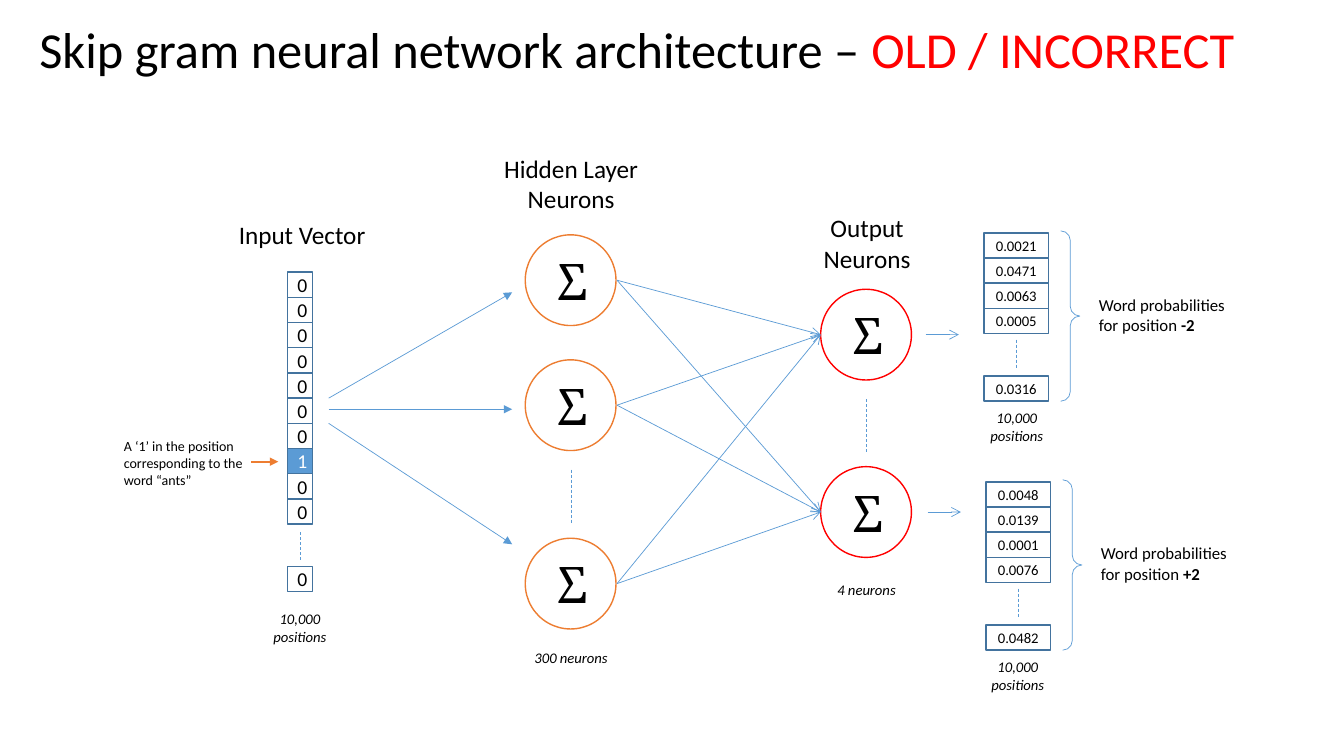
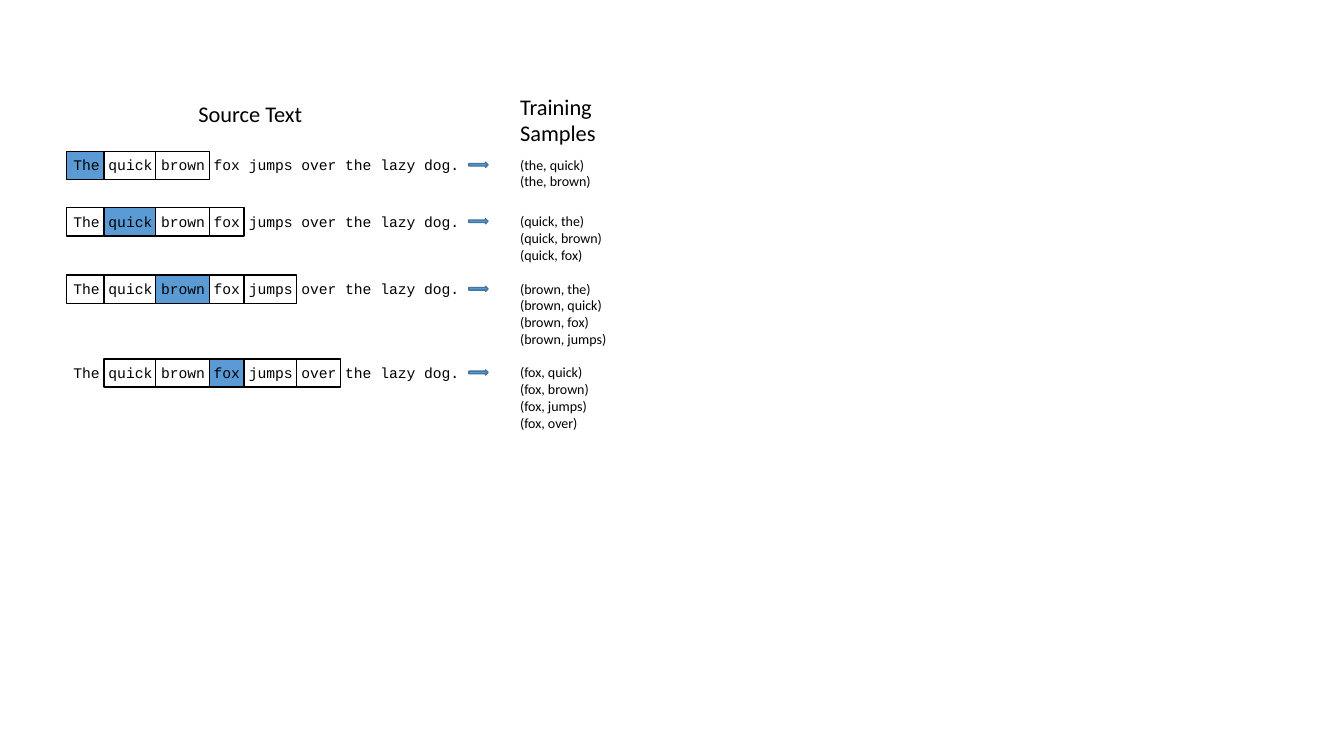
from lxml.etree import SubElement
from pptx import Presentation
from pptx.dml.color import RGBColor
from pptx.enum.dml import MSO_LINE
from pptx.enum.shapes import MSO_CONNECTOR, MSO_SHAPE
from pptx.enum.text import MSO_ANCHOR, MSO_AUTO_SIZE, PP_ALIGN
from pptx.oxml.ns import qn
from pptx.util import Inches, Pt

BLACK = RGBColor(0x00, 0x00, 0x00)
WHITE = RGBColor(0xFF, 0xFF, 0xFF)
BLUE = RGBColor(0x5B, 0x9B, 0xD5)
DARK_BLUE = RGBColor(0x43, 0x73, 0x9E)
ORANGE = RGBColor(0xED, 0x7D, 0x31)
RED = RGBColor(0xFF, 0x00, 0x00)
CENTER = PP_ALIGN.CENTER


def add_item(slide, place, kind=None, line=None, fill=None, line_width=1, text="", size=10.5,
             font="Calibri", color=BLACK, align=PP_ALIGN.LEFT, italic=False, wrap=True):
    box = [Inches(length) for length in place]
    if kind is None:
        shape = slide.shapes.add_textbox(*box)
        shape.text_frame.auto_size = MSO_AUTO_SIZE.SHAPE_TO_FIT_TEXT
    else:
        shape = slide.shapes.add_shape(kind, *box)
        shape.shadow.inherit = False
        shape.line.color.rgb = line
        shape.line.width = Pt(line_width)
        if fill is None:
            shape.fill.background()
        else:
            shape.fill.solid()
            shape.fill.fore_color.rgb = fill
    shape.text_frame.word_wrap = wrap
    shape.text_frame.text = text
    for paragraph in shape.text_frame.paragraphs:
        paragraph.alignment = align
        paragraph.font.name = font
        paragraph.font.size = Pt(size)
        paragraph.font.color.rgb = color
        paragraph.font.italic = italic
    return shape


def add_line(slide, start, end, arrowhead=None, color=BLUE, width=0.5):
    points = [Inches(length) for length in (*start, *end)]
    connector = slide.shapes.add_connector(MSO_CONNECTOR.STRAIGHT, *points)
    connector.line.color.rgb = color
    connector.line.width = Pt(width)
    if arrowhead:
        SubElement(connector.line._get_or_add_ln(), qn("a:tailEnd"), type=arrowhead)
    else:
        connector.line.dash_style = MSO_LINE.DASH
    SubElement(connector._element.spPr, qn("a:effectLst"))


presentation = Presentation()
presentation.slide_width = Inches(13.33)
presentation.slide_height = Inches(7.5)

network = presentation.slides.add_slide(presentation.slide_layouts[5])
title = network.shapes.title
title.left, title.top, title.width, title.height = (
    Inches(length) for length in (0.29, 0.13, 12.16, 0.71))
title.text_frame.word_wrap = False
title.text_frame.auto_size = MSO_AUTO_SIZE.NONE
title.text_frame.vertical_anchor = MSO_ANCHOR.TOP
paragraph = title.text_frame.paragraphs[0]
paragraph.alignment = PP_ALIGN.LEFT
paragraph.font.name = "Calibri"
paragraph.font.size = Pt(36)
paragraph.font.color.rgb = BLACK
paragraph.add_run().text = "Skip gram neural network architecture – "
warning = paragraph.add_run()
warning.text = "OLD / INCORRECT"
warning.font.color.rgb = RED

for place, heading, align in [
    ((2.27, 2.13, 1.67, 0.4), "Input Vector", PP_ALIGN.LEFT),
    ((4.83, 1.47, 1.67, 0.71), "Hidden Layer Neurons", CENTER),
    ((7.91, 2.06, 1.38, 0.71), "Output Neurons", CENTER),
]:
    add_item(network, place, text=heading, size=18, align=align)

input_tops = [2.7 + 0.25 * index for index in range(10)] + [5.62]
for index, top in enumerate(input_tops):
    active = index == 7
    add_item(network, (2.85, top, 0.25, 0.25), MSO_SHAPE.RECTANGLE, DARK_BLUE,
             BLUE if active else None, text="1" if active else "0", size=14,
             color=WHITE if active else BLACK, align=CENTER)
add_line(network, (2.98, 5.28), (2.98, 5.57))
add_item(network, (1.13, 4.29, 1.48, 0.61), size=10,
         text="A ‘1’ in the position corresponding to the word “ants”")
add_line(network, (2.49, 4.58), (2.76, 4.58), "triangle", ORANGE, 1.5)

hidden_tops = [2.33, 3.57, 5.34]
output_tops = [2.87, 4.63]
for left, tops, color in [(5.21, hidden_tops, ORANGE), (8.14, output_tops, RED)]:
    for top in tops:
        add_item(network, (left, top, 0.9, 0.9), MSO_SHAPE.OVAL, color)
        add_item(network, (left + 0.22, top + 0.1, 0.48, 0.71), text="Σ", size=36,
                 font="Cambria", wrap=False)
add_line(network, (5.67, 4.66), (5.67, 5.19))
add_line(network, (8.59, 3.96), (8.59, 4.49))

for start, end in [(3.95, 2.9), (4.06, 4.06), (4.2, 5.4)]:
    add_line(network, (3.26, start), (5.08, end), "triangle")
for hidden_top in hidden_tops:
    for output_top in output_tops:
        add_line(network, (6.12, hidden_top + 0.45), (8.14, output_top + 0.45), "arrow")

for left, top, neuron_top, position, values in [
    (9.76, 2.31, output_tops[0], "-2", ["0.0021", "0.0471", "0.0063", "0.0005", "0.0316"]),
    (9.78, 4.78, output_tops[1], "+2", ["0.0048", "0.0139", "0.0001", "0.0076", "0.0482"]),
]:
    for value, offset in zip(values, [0, 0.25, 0.5, 0.75, 1.42]):
        add_item(network, (left, top + offset, 0.64, 0.25), MSO_SHAPE.RECTANGLE, DARK_BLUE,
                 text=value, align=CENTER)
    add_line(network, (left + 0.32, top + 1.06), (left + 0.32, top + 1.35))
    add_line(network, (left - 0.58, neuron_top + 0.45), (left - 0.25, neuron_top + 0.45), "arrow")
    brace = add_item(network, (left + 0.76, top - 0.02, 0.19, 1.69), MSO_SHAPE.RIGHT_BRACE,
                     BLUE, line_width=0.5)
    brace.adjustments[0] = 0.5
    label = add_item(network, (left + 1.04, top + 0.56, 1.6, 0.5), size=12,
                     text="Word probabilities for position ")
    position_run = label.text_frame.paragraphs[0].add_run()
    position_run.text = position
    position_run.font.bold = True

for left, top, height, caption in [
    (2.46, 6, 0.45, "10,000\npositions"),
    (5.15, 6.39, 0.28, "300 neurons"),
    (8.08, 5.71, 0.28, "4 neurons"),
    (9.57, 4.01, 0.45, "10,000\npositions"),
    (9.58, 6.48, 0.45, "10,000\npositions"),
]:
    add_item(network, (left, top, 1.03, height), text=caption, align=CENTER, italic=True)

samples = presentation.slides.add_slide(presentation.slide_layouts[6])
add_item(samples, (1.87, 0.94, 1.25, 0.37), text="Source Text", size=16, wrap=False)
add_item(samples, (5.06, 0.87, 1.48, 0.64), text="Training Samples", size=16)

sentence = "The quick brown fox jumps over the lazy dog."
words = sentence.split()
word_edges = [0.66, 1.03, 1.54, 2.08, 2.42, 2.94, 3.38]
for target, (top, pairs_width) in enumerate([(1.5, 0.91), (2.06, 1.02), (2.73, 1.07), (3.56, 0.9)]):
    window = range(max(target - 2, 0), target + 3)
    for index in window:
        left, right = word_edges[index:index + 2]
        add_item(samples, (left, top, right - left, 0.28), MSO_SHAPE.RECTANGLE, BLACK,
                 BLUE if index == target else WHITE)
    add_item(samples, (0.63, top, 4.06, 0.28), text=sentence, font="Courier New", wrap=False)
    add_item(samples, (4.65, top + 0.11, 0.19, 0.05), MSO_SHAPE.RIGHT_ARROW, DARK_BLUE, BLUE)
    pairs = [f"({words[target]}, {words[index]})".lower() for index in window if index != target]
    add_item(samples, (5.06, top, pairs_width, 0.1 + 0.17 * len(pairs)), text="\n".join(pairs),
             size=10, wrap=False)

presentation.save("out.pptx")
